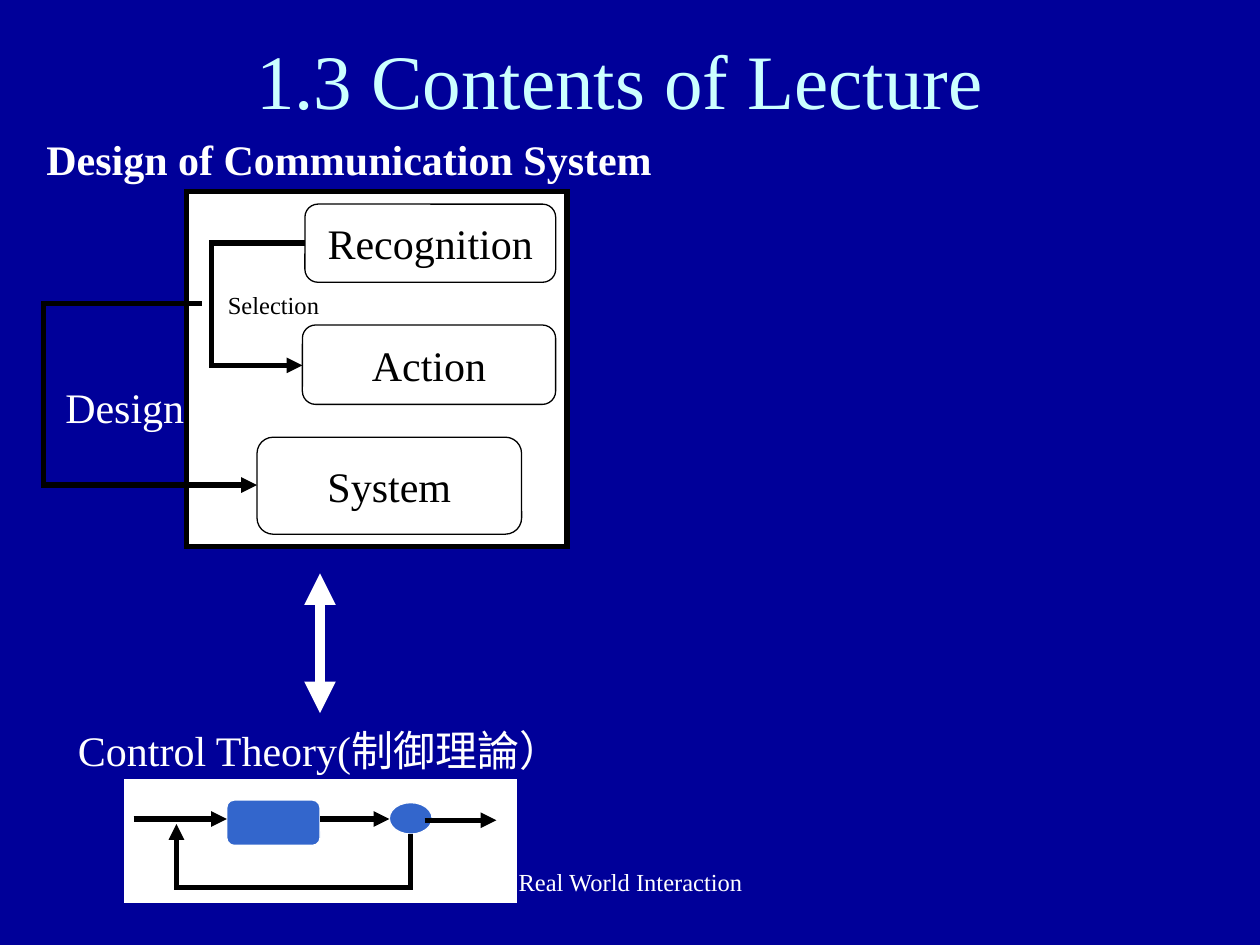
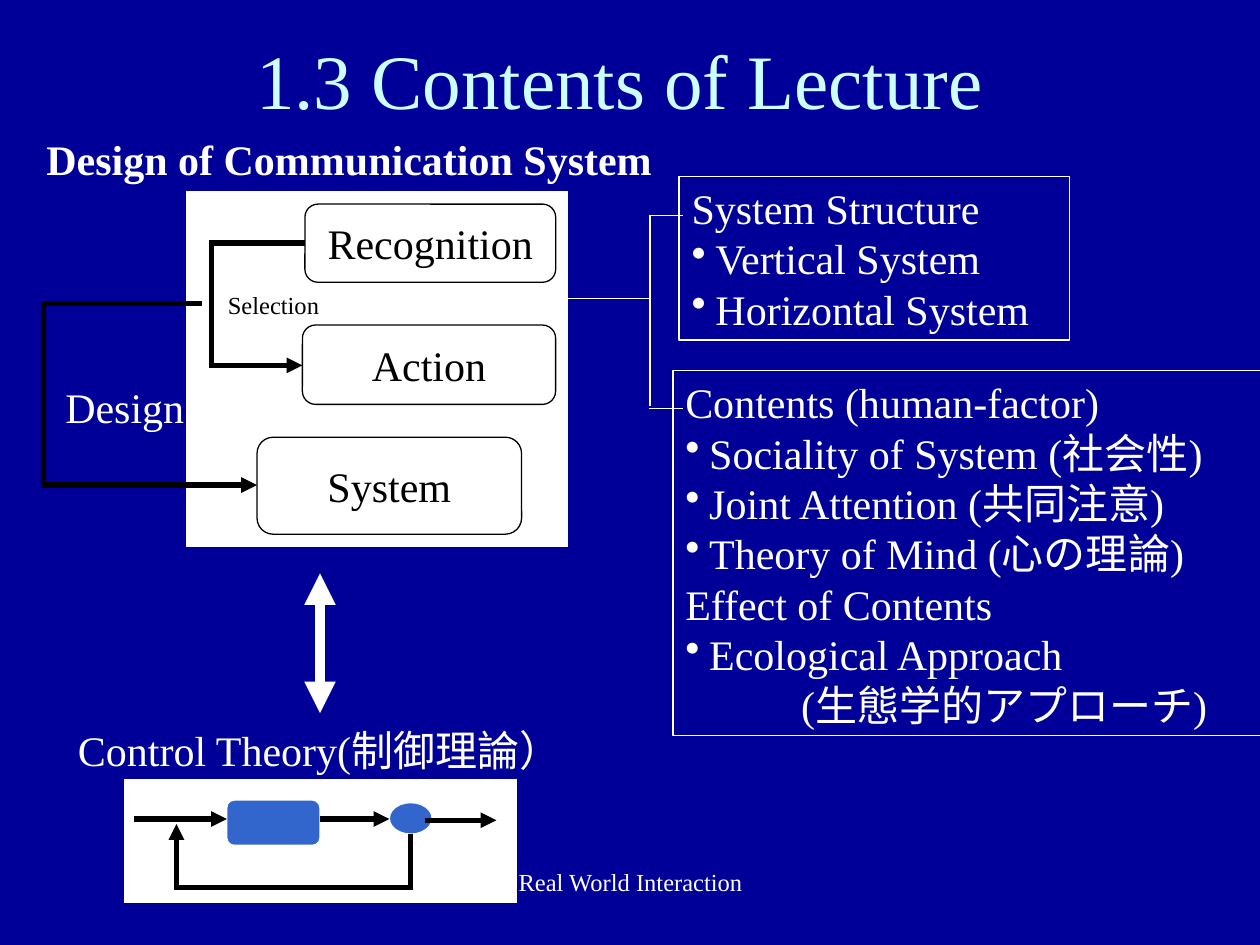
from lxml import etree
from pptx import Presentation
from pptx.dml.color import RGBColor
from pptx.enum import shapes, text
from pptx.oxml import ns
from pptx.util import Inches, Pt

NAVY = RGBColor(0x00, 0x00, 0x99)
PALE_CYAN = RGBColor(0xCC, 0xFF, 0xFF)
BLUE = RGBColor(0x33, 0x66, 0xCC)
WHITE = RGBColor(0xFF, 0xFF, 0xFF)
BLACK = RGBColor(0x00, 0x00, 0x00)
FONT = "Times New Roman"
THIN, THICK = 0.75, 3
BULLET_INDENT = 0.19
TRANSLATION_INDENT = 0.92
ELLIPSE_BOTTOM = 4
RECTANGLE = shapes.MSO_SHAPE.RECTANGLE
ROUNDED = shapes.MSO_SHAPE.ROUNDED_RECTANGLE
OVAL = shapes.MSO_SHAPE.OVAL

# Each topic box is a list of (heading, bulleted items) groups.
STRUCTURE = [("System Structure", ["Vertical System", "Horizontal System"])]
CONTENTS = [
    ("Contents (human-factor)", [
        "Sociality of System (社会性)",
        "Joint Attention (共同注意)",
        "Theory of Mind (心の理論)",
    ]),
    ("Effect of Contents", ["Ecological Approach"]),
]
TRANSLATION = "(生態学的アプローチ)"


def inches(values):
    return [Inches(value) for value in values]


def add_run(paragraph, content, size, color, bold=False):
    run = paragraph.add_run()
    run.text = content
    run.font.size = Pt(size)
    run.font.bold = bold
    run.font.name = FONT
    run.font.color.rgb = color


def add_label(slide, box, content, size=24, color=WHITE, bold=False,
              align=text.PP_ALIGN.LEFT, anchor=text.MSO_ANCHOR.TOP):
    frame = slide.shapes.add_textbox(*inches(box)).text_frame
    frame.word_wrap = True
    frame.vertical_anchor = anchor
    frame.paragraphs[0].alignment = align
    add_run(frame.paragraphs[0], content, size, color, bold)


def indent_paragraph(paragraph, margin, bullet=False):
    properties = paragraph._p.get_or_add_pPr()
    properties.set("marL", str(Inches(margin)))
    if bullet:
        properties.set("indent", str(-Inches(margin)))
        etree.SubElement(properties, ns.qn("a:buChar"), char="•")


def add_topic_box(slide, box, groups, closing=None):
    label = slide.shapes.add_textbox(*inches(box))
    label.line.color.rgb = WHITE
    label.line.width = Pt(THIN)
    frame = label.text_frame
    frame.word_wrap = True
    paragraph = frame.paragraphs[0]
    for index, (heading, items) in enumerate(groups):
        if index:
            paragraph = frame.add_paragraph()
        add_run(paragraph, heading, 24, WHITE)
        for item in items:
            paragraph = frame.add_paragraph()
            indent_paragraph(paragraph, BULLET_INDENT, bullet=True)
            add_run(paragraph, item, 24, WHITE)
    if closing:
        paragraph = frame.add_paragraph()
        indent_paragraph(paragraph, TRANSLATION_INDENT)
        add_run(paragraph, closing, 24, WHITE)


def style_line(shape, color, width, ends=()):
    """Give a line sharp corners and a triangle on each of the named ends."""
    shape.line.color.rgb = color
    shape.line.width = Pt(width)
    line = shape.line._get_or_add_ln()
    etree.SubElement(line, ns.qn("a:miter"), lim="800000")
    for end in ends:
        etree.SubElement(line, ns.qn("a:" + end), type="triangle")


def add_block(slide, kind, box, fill=WHITE, line=WHITE, width=THIN, caption=None):
    block = slide.shapes.add_shape(kind, *inches(box))
    block.fill.solid()
    block.fill.fore_color.rgb = fill
    style_line(block, line, width)
    block.shadow.inherit = False
    if caption:
        frame = block.text_frame
        frame.word_wrap = False
        frame.vertical_anchor = text.MSO_ANCHOR.MIDDLE
        frame.paragraphs[0].alignment = text.PP_ALIGN.CENTER
        add_run(frame.paragraphs[0], caption, 24, BLACK)
    return block


def style_connector(connector, color, width, ends):
    style_line(connector, color, width, ends)
    etree.SubElement(connector._element.spPr, ns.qn("a:effectLst"))


def add_line(slide, start, end, color=BLACK, width=THICK, ends=("tailEnd",)):
    connector = slide.shapes.add_connector(
        shapes.MSO_CONNECTOR.STRAIGHT, *inches(start + end))
    style_connector(connector, color, width, ends)


def add_elbow(slide, box, turn, flip_h, bend, begin=None, end=None):
    """Add a bent arrow; bend places its middle leg as a multiple of the width.

    begin and end are (shape, connection site) pairs.
    """
    left, top, width, height = inches(box)
    connector = slide.shapes.add_connector(
        shapes.MSO_CONNECTOR.ELBOW, left, top, left + width, top + height)
    properties = connector._element.nvCxnSpPr.cNvCxnSpPr
    if begin:
        connector.begin_connect(begin[0], 0)
        properties.stCxn.idx = begin[1]
    if end:
        connector.end_connect(end[0], 0)
        properties.endCxn.idx = end[1]
    connector.left, connector.top = left, top
    connector.width, connector.height = width, height
    frame = connector._element.spPr.xfrm
    frame.rot, frame.flipH, frame.flipV = turn, flip_h, True
    guides = connector._element.spPr.find(ns.qn("a:prstGeom")).get_or_add_avLst()
    etree.SubElement(guides, ns.qn("a:gd"), name="adj1",
                     fmla=f"val {round(bend * 100000)}")
    style_connector(connector, BLACK, THICK, ("tailEnd",))


def add_base_slide(presentation):
    slide = presentation.slides.add_slide(presentation.slide_layouts[6])
    slide.background.fill.solid()
    slide.background.fill.fore_color.rgb = NAVY
    add_label(slide, (0.67, 0, 8.5, 1.25), "1.3 Contents of Lecture", 44, PALE_CYAN,
              align=text.PP_ALIGN.CENTER, anchor=text.MSO_ANCHOR.MIDDLE)
    add_label(slide, (0.27, 1.01, 5.2, 0.5), "Design of Communication System", bold=True)
    return slide


def add_footer(slide):
    add_label(slide, (3.42, 6.83, 3.17, 0.5), "Real World Interaction", 14,
              align=text.PP_ALIGN.CENTER)


def add_communication_diagram(slide, border, border_width):
    add_block(slide, RECTANGLE, (1.48, 1.52, 3.02, 2.82), line=border, width=border_width)
    recognition, action, system = [
        add_block(slide, ROUNDED, box, line=BLACK, caption=caption)
        for caption, box in (
            ("Recognition", (2.42, 1.62, 1.99, 0.62)),
            ("Action", (2.4, 2.58, 2.01, 0.63)),
            ("System", (2.04, 3.47, 2.1, 0.77)),
        )
    ]
    add_elbow(slide, (2.4, 1.93, 0.02, 0.97), 180, False, 37,
              (recognition, 1), (action, 1))
    add_label(slide, (1.71, 2.25, 1.05, 0.34), "Selection", 14, BLACK)
    add_elbow(slide, (1.6, 2.41, 0.44, 1.44), 180, True, -2.85, end=(system, 1))
    add_label(slide, (0.42, 2.98, 2.13, 0.5), "Design")


def add_control_diagram(slide):
    add_line(slide, (2.54, 4.55), (2.54, 5.66), WHITE, 6, ("headEnd", "tailEnd"))
    add_label(slide, (0.52, 5.7, 4.12, 0.5), "Control Theory(制御理論）")
    add_block(slide, RECTANGLE, (0.99, 6.19, 3.11, 0.97))
    junction = add_block(slide, OVAL, (3.09, 6.37, 0.34, 0.25), BLUE)
    add_block(slide, ROUNDED, (1.8, 6.35, 0.74, 0.36), BLUE)
    for left, right, y in ((1.06, 1.8, 6.5), (2.54, 3.09, 6.5), (3.37, 3.94, 6.51)):
        add_line(slide, (left, y), (right, y))
    add_elbow(slide, (2.29, 5.65, 0.08, 1.86), 270, False, -5.3,
              begin=(junction, ELLIPSE_BOTTOM))


def add_topics(slide):
    for start, end in (
        ((4.5, 2.37), (5.16, 2.37)),
        ((5.16, 1.71), (5.16, 3.22)),
        ((5.15, 1.71), (5.42, 1.71)),
        ((5.15, 3.24), (5.42, 3.24)),
    ):
        add_line(slide, start, end, WHITE, THIN, ())
    add_topic_box(slide, (5.39, 1.4, 3.1, 1.3), STRUCTURE)
    add_topic_box(slide, (5.34, 2.94, 4.69, 2.9), CONTENTS, TRANSLATION)


def main():
    presentation = Presentation()
    presentation.slide_width = Inches(10)
    presentation.slide_height = Inches(7.5)

    for border, border_width, has_topics in ((BLACK, THICK, False), (WHITE, THIN, True)):
        slide = add_base_slide(presentation)
        add_communication_diagram(slide, border, border_width)
        add_control_diagram(slide)
        if has_topics:
            add_topics(slide)
        add_footer(slide)

    presentation.save("out.pptx")


if __name__ == "__main__":
    main()
